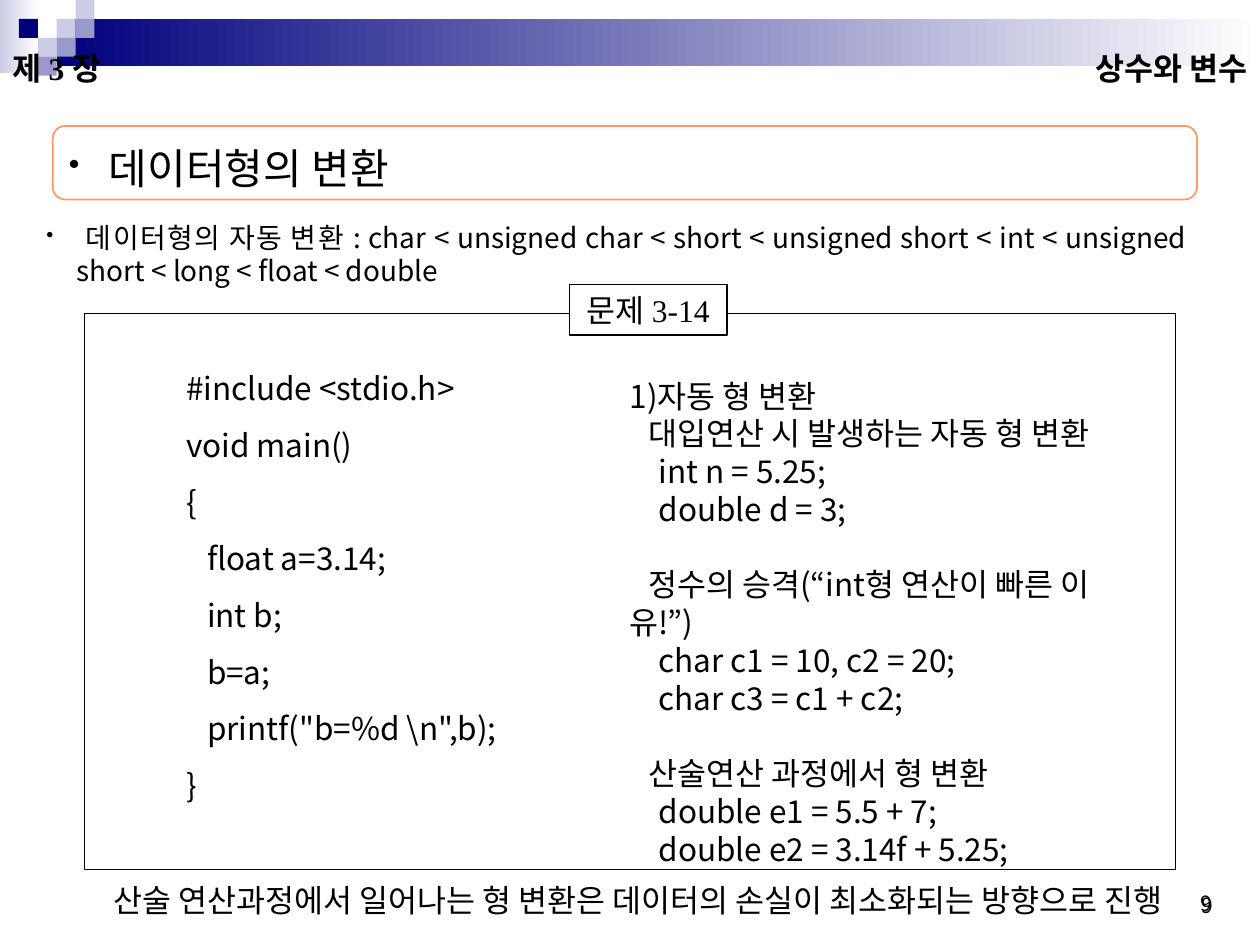
from lxml.etree import SubElement
from pptx import Presentation
from pptx.dml.color import RGBColor
from pptx.enum.shapes import MSO_SHAPE
from pptx.enum.text import MSO_ANCHOR, PP_ALIGN
from pptx.oxml.ns import qn
from pptx.util import Pt

HUES = {"navy": "00007D", "mid": "9999CC", "pale": "CCCCE6",
        "white": "FFFFFF", "black": "000000", "coral": "FF9966"}
SANS, SERIF = "Noto Sans CJK KR", "Times New Roman"
CODE = [("#include <stdio.h>", 0), ("void main()", 0), ("{", 0),
        ("float a=3.14;", 12), ("int b;", 12), ("b=a;", 12),
        ('printf("b=%d \\n",b);', 12), ("}", 0)]
NOTES = [
    [("1)자동 형 변환", 0), ("대입연산 시 발생하는 자동 형 변환", 10.5),
     ("int n = 5.25;", 16.5), ("double d = 3;", 16.5)],
    [("정수의 승격(“int형 연산이 빠른 이유!”)", 10.5),
     ("char c1 = 10, c2 = 20;", 16.5), ("char c3 = c1 + c2;", 16.5)],
    [("산술연산 과정에서 형 변환", 10.5),
     ("double e1 = 5.5 + 7;", 16.5), ("double e2 = 3.14f + 5.25;", 16.5)],
]


def tint(name):
    """Return the named colour."""
    return RGBColor.from_string(HUES[name])


def shape(slide, box, kind=MSO_SHAPE.RECTANGLE, fill=None, fade=None, line=None, width=0.75):
    """Add a preset shape with a plain, faded or empty fill."""
    item = slide.shapes.add_shape(kind, *map(Pt, box))
    item.shadow.inherit = False
    if fade:
        item.fill.gradient()
        item.fill.gradient_angle = 0
        for stop, name in zip(item.fill.gradient_stops, fade):
            stop.color.rgb = tint(name)
    elif fill:
        item.fill.solid()
        item.fill.fore_color.rgb = tint(fill)
    else:
        item.fill.background()
    if line:
        item.line.color.rgb = tint(line)
        item.line.width = Pt(width)
    else:
        item.line.fill.background()
    return item


def field(slide, box):
    """Add an empty text box."""
    return slide.shapes.add_textbox(*map(Pt, box))


def write(item, text, first=True, size=18, font=SANS, bold=False, align=PP_ALIGN.LEFT,
          anchor=MSO_ANCHOR.MIDDLE, wrap=True, space=None, before=0, left=0, indent=0, dot=None):
    """Write one paragraph into an item in the given format."""
    frame = item.text_frame
    frame.word_wrap, frame.vertical_anchor = wrap, anchor
    para = frame.paragraphs[0] if first else frame.add_paragraph()
    para.alignment, para.space_before = align, Pt(before)
    if space:
        para.line_spacing = space
    props = para._p.get_or_add_pPr()
    props.set("marL", str(Pt(left)))
    props.set("indent", str(Pt(indent)))
    if dot:
        SubElement(props, qn("a:buSzPct")).set("val", str(dot * 1000))
        SubElement(props, qn("a:buChar")).set("char", "•")
    run = para.add_run()
    run.text = text
    run.font.size, run.font.bold, run.font.name = Pt(size), bold, font
    run.font.color.rgb = tint("black")
    SubElement(run._r.get_or_add_rPr(), qn("a:ea")).set("typeface", SANS)


def band(slide, x, y, w):
    """Draw the top band with its tiles and the two running heads."""
    unit = 10.8
    shape(slide, (x, y, 22.3, 41.8), fade=("pale", "white"))
    shape(slide, (x + 3 * unit, y + unit, w - 3 * unit, 2.5 * unit), fade=("navy", "white"))
    tiles = [(3, 1, "pale"), (4, 0, "pale"), (4, 1, "mid"), (2, 2, "pale"),
             (1, 1, "navy"), (3, 2, "mid"), (2, 3, "mid")]
    for col, row, hue in tiles:
        shape(slide, (x + col * unit, y + row * unit, unit, unit), fill=hue)
    look = dict(font=SERIF, bold=True)
    write(field(slide, (x, y + 18, 156, 42)), "제 3 장", **look)
    write(field(slide, (x + w - 252, y + 18, 252, 42)), "상수와 변수",
          align=PP_ALIGN.RIGHT, **look)


def topic(slide, x, y, w):
    """Place the framed title and the rule below it."""
    title = shape(slide, (x, y, w, 42), MSO_SHAPE.ROUNDED_RECTANGLE, line="coral", width=1)
    hang = dict(left=17.5, indent=-17.5, dot=75)
    write(title, " 데이터형의 변환", size=24, space=1.2, before=15, **hang)
    rule = field(slide, (x - 10.8, y + 50.4, w + 12, 46))
    write(rule, " 데이터형의 자동 변환 : char < unsigned char < short < unsigned short"
          " < int < unsigned short < long < float < double",
          size=16, align=PP_ALIGN.JUSTIFY, anchor=MSO_ANCHOR.TOP, **hang)


def task(slide, x, y, w, h):
    """Place the framed exercise with its code, notes and label."""
    code = field(slide, (x + 51, y + 17.3, 538.6, 266.4))
    for num, (text, pad) in enumerate(CODE):
        write(code, text, first=num == 0, space=1.5, indent=pad)
    shape(slide, (x, y, w, h), line="black")
    label = shape(slide, (x + 277.2, y - 16.6, 90, 28.8), fill="white", line="black")
    write(label, "문제 3-14", font=SERIF, align=PP_ALIGN.CENTER, wrap=False)
    notes = field(slide, (x + 304.6, y + 32.4, 306, 266.4))
    for part, group in enumerate(NOTES):
        for num, (text, pad) in enumerate(group):
            write(notes, text, first=part + num == 0, anchor=MSO_ANCHOR.TOP,
                  before=21.5 if part and num == 0 else 0, indent=pad)


def foot(slide, x, y, w):
    """Place the closing line and the page numbers."""
    write(field(slide, (x, y, w, 28.8)),
          "산술 연산과정에서 일어나는 형 변환은 데이터의 손실이 최소화되는 방향으로 진행",
          anchor=MSO_ANCHOR.TOP, wrap=False)
    for left, top, wide in [(458.6, -7.9, 184.3), (472.3, -8.6, 170)]:
        write(field(slide, (x + left, y + top, wide, 36)), "9", size=12,
              align=PP_ALIGN.RIGHT, anchor=MSO_ANCHOR.BOTTOM)


def main():
    """Build and save the slide."""
    deck = Presentation()
    deck.slide_width, deck.slide_height = Pt(720), Pt(540)
    slide = deck.slides.add_slide(deck.slide_layouts[6])
    band(slide, 0, 0, 720)
    topic(slide, 30.2, 72, 653.8)
    task(slide, 48.2, 179.3, 623.5, 317.5)
    foot(slide, 57.6, 499.7, 622.8)
    deck.save("out.pptx")


if __name__ == "__main__":
    main()
